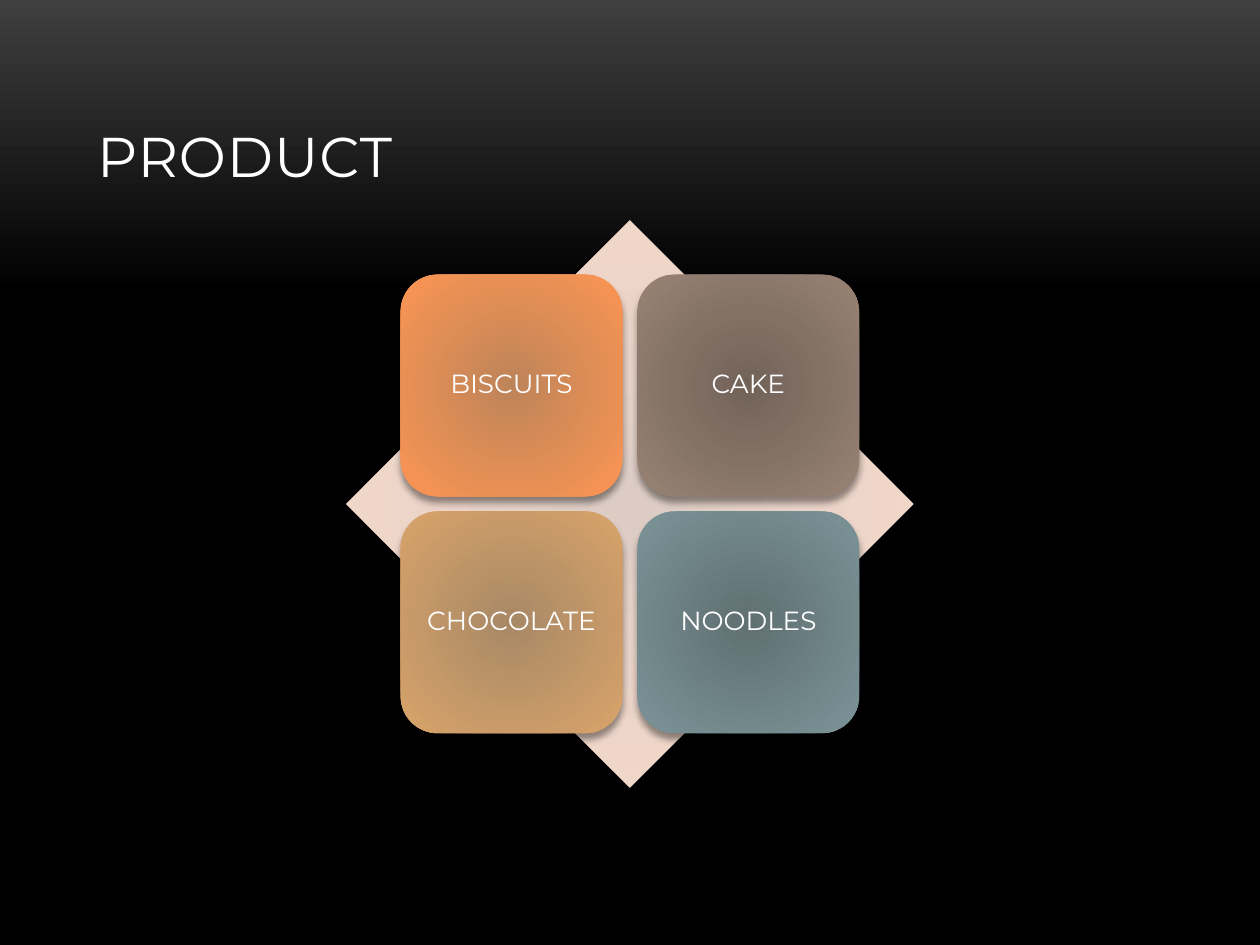
from dataclasses import dataclass

from pptx import Presentation
from pptx import util as u
from pptx.dml import color
from pptx.enum import shapes, text
from pptx.oxml import ns, parse_xml


@dataclass(frozen=True)
class Theme:
    font: str = "Montserrat"
    ink: str = "FFFFFF"
    shadow: str = "000000"
    title_size: int = 32
    label_size: int = 15
    title_spacing: int = 50
    backdrop: tuple = ((0, "3F3F3F"), (31, "000000"), (100, "000000"))
    diamond: tuple = ((0, "DCCCC4"), (100, "FADBCC"))
    tiles: tuple = (
        ((0, "BE8459"), (100, "FC9553")),
        ((0, "726359"), (100, "988274")),
        ((0, "A88966"), (100, "D9A36A")),
        ((0, "607073"), (100, "7B9397")),
    )


THEME = Theme()
PRODUCTS = ("BISCUITS", "CAKE", "CHOCOLATE", "NOODLES")
LINEAR = '<a:lin ang="5400000" scaled="0"/>'
RADIAL = (
    '<a:path path="circle"><a:fillToRect l="100000" t="100000" '
    'r="100000" b="100000"/></a:path>'
)


def apply(obj, values):
    for name, value in values.items():
        setattr(obj, name, value)


def set_gradient(fill, owner, stops, direction):
    fill.gradient()
    old = owner.find(".//" + ns.qn("a:gradFill"))
    stop_xml = "".join(
        f'<a:gs pos="{pos * 1000}"><a:srgbClr val="{rgb}"/></a:gs>'
        for pos, rgb in stops
    )
    new = parse_xml(
        f'<a:gradFill {ns.nsdecls("a")} rotWithShape="1">'
        f"<a:gsLst>{stop_xml}</a:gsLst>{direction}</a:gradFill>"
    )
    old.getparent().replace(old, new)


def add_shadow(sp):
    effects = sp.element.spPr.find(ns.qn("a:effectLst"))
    effects.append(parse_xml(
        f'<a:outerShdw {ns.nsdecls("a")} blurRad="{u.Pt(4)}" dist="{u.Pt(3.4)}" '
        f'dir="5400000" rotWithShape="0"><a:srgbClr val="{THEME.shadow}">'
        '<a:alpha val="40000"/></a:srgbClr></a:outerShdw>'
    ))


def write(tf, words, size, align, frame):
    apply(tf, {"word_wrap": True, "auto_size": text.MSO_AUTO_SIZE.NONE, **frame})
    p = tf.paragraphs[0]
    p.alignment = align
    r = p.add_run()
    r.text = words
    apply(r.font, {"name": THEME.font, "size": u.Pt(size)})
    r.font.color.rgb = color.RGBColor.from_string(THEME.ink)
    return p, r


def add_block(group, kind, box, stops):
    sp = group.shapes.add_shape(kind, *box)
    sp.shadow.inherit = False
    sp.line.fill.background()
    set_gradient(sp.fill, sp.element.spPr, stops, RADIAL)
    return sp


def place_title(s, box, words):
    sp = s.shapes.title
    apply(sp, dict(zip(("left", "top", "width", "height"), box)))
    p, r = write(sp.text_frame, words, THEME.title_size, text.PP_ALIGN.LEFT,
                 {"vertical_anchor": text.MSO_ANCHOR.BOTTOM})
    r.font._element.set("spc", str(THEME.title_spacing))


def place_tile(group, box, words, stops):
    sp = add_block(group, shapes.MSO_SHAPE.ROUNDED_RECTANGLE, box, stops)
    add_shadow(sp)
    sides = ("left", "top", "right", "bottom")
    frame = {f"margin_{side}": u.Inches(0.06) for side in sides}
    frame["vertical_anchor"] = text.MSO_ANCHOR.MIDDLE
    p, r = write(sp.text_frame, words, THEME.label_size, text.PP_ALIGN.CENTER, frame)
    p.line_spacing = 0.9


def place_matrix(s, box, products):
    left, top, width, height = box
    group = s.shapes.add_group_shape()
    add_block(group, shapes.MSO_SHAPE.DIAMOND, box, THEME.diamond)
    inset, side = u.Inches(0.43), u.Inches(1.76)
    step_x, step_y = width - 2 * inset - side, height - 2 * inset - side
    for i, (words, stops) in enumerate(zip(products, THEME.tiles)):
        row, col = divmod(i, 2)
        tile = (left + inset + col * step_x, top + inset + row * step_y, side, side)
        place_tile(group, tile, words, stops)


def main():
    prs = Presentation()
    prs.slide_width, prs.slide_height = u.Inches(10), u.Inches(7.5)
    s = prs.slides.add_slide(prs.slide_layouts[5])
    set_gradient(s.background.fill, s.element, THEME.backdrop, LINEAR)
    title_box = [u.Inches(n) for n in (0.67, 0.3, 8.67, 1.25)]
    matrix_box = [u.Inches(n) for n in (2.75, 1.75, 4.5, 4.5)]
    place_title(s, title_box, "PRODUCT")
    place_matrix(s, matrix_box, PRODUCTS)
    prs.save("out.pptx")


if __name__ == "__main__":
    main()
